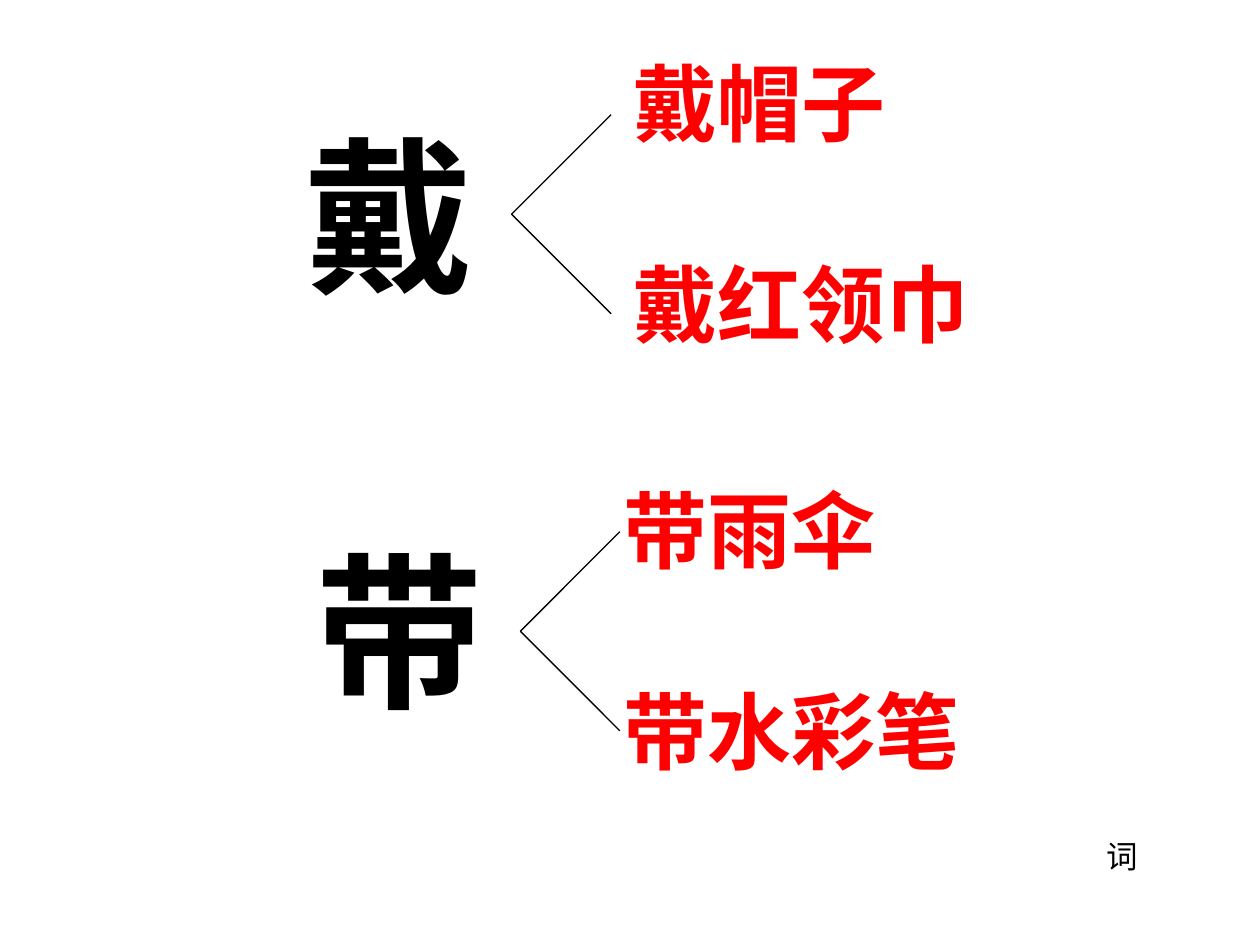
from lxml import etree
from pptx import Presentation
from pptx.dml.color import RGBColor
from pptx.enum.shapes import MSO_CONNECTOR
from pptx.enum.text import MSO_AUTO_SIZE
from pptx.oxml.ns import qn
from pptx.util import Inches, Pt

BLACK = RGBColor(0, 0, 0)
RED = RGBColor(255, 0, 0)
PHRASE_PITCH = Pt(115)
BRANCH_SIZE = 0.79

presentation = Presentation()
presentation.slide_width = Inches(10)
presentation.slide_height = Inches(7.5)
slide = presentation.slides.add_slide(presentation.slide_layouts[6])


def add_text(lines, box, size, color, font_name, bold=True):
    shape = slide.shapes.add_textbox(*map(Inches, box))
    frame = shape.text_frame
    frame.word_wrap = False
    frame.auto_size = MSO_AUTO_SIZE.SHAPE_TO_FIT_TEXT
    for index, line in enumerate(lines):
        paragraph = frame.paragraphs[0] if index == 0 else frame.add_paragraph()
        if index:
            paragraph.line_spacing = PHRASE_PITCH
        run = paragraph.add_run()
        run.text = line
        run.font.name = font_name
        run.font.size = Pt(size)
        run.font.bold = bold
        run.font.color.rgb = color


# character, its box, phrases, their box, point where the branches meet
groups = [
    ("戴", (2.33, 0.84, 2.2, 1.7),
     ["戴帽子", "戴红领巾"], (4.93, 0.36, 2.9, 2.5), (4.06, 1.7)),
    ("带", (2.41, 4.14, 1.53, 1.7),
     ["带雨伞", "带水彩笔"], (4.85, 3.75, 2.9, 2.5), (4.13, 5.01)),
]

for character, character_box, phrases, phrase_box, (x, y) in groups:
    add_text([character], character_box, 96, BLACK, "Noto Sans CJK SC")
    add_text(phrases, phrase_box, 48, RED, "Arial")
    for rise in (-BRANCH_SIZE, BRANCH_SIZE):
        branch = slide.shapes.add_connector(
            MSO_CONNECTOR.STRAIGHT, Inches(x), Inches(y),
            Inches(x + BRANCH_SIZE), Inches(y + rise))
        branch.line.color.rgb = BLACK
        branch.line.width = Pt(0.75)
        etree.SubElement(branch._element.spPr, qn("a:effectLst"))

add_text(["词"], (8.68, 6.59, 0.45, 0.4), 18, BLACK, "Arial", bold=False)

presentation.save("out.pptx")
